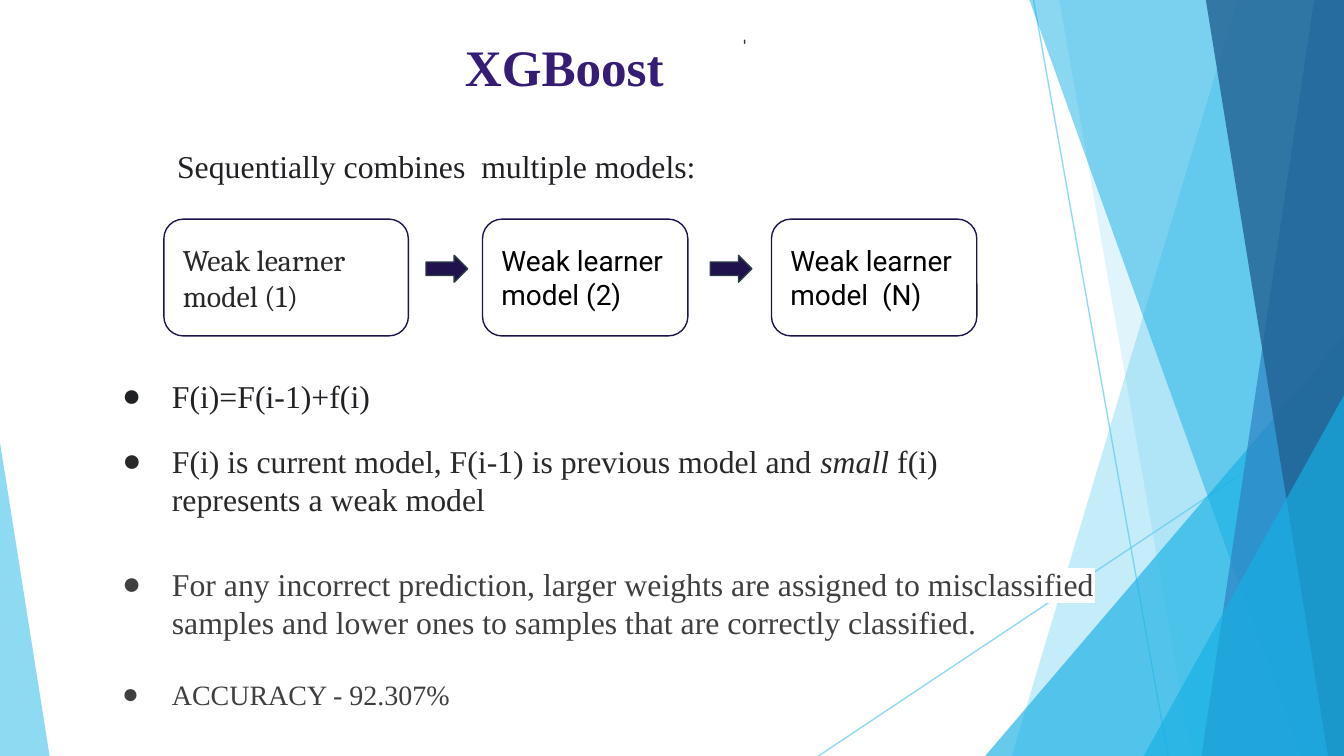
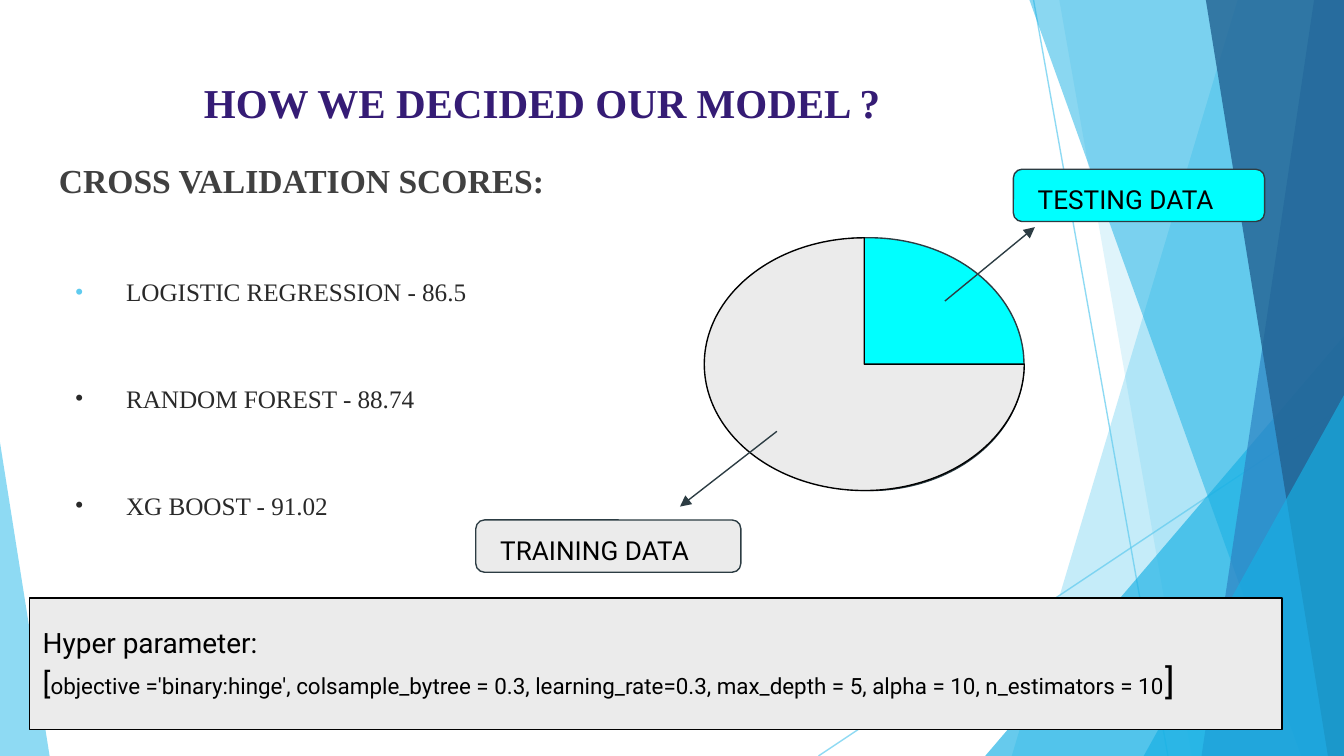
"""Build two slides on XGBoost and the choice of model."""
from dataclasses import dataclass

from lxml.etree import SubElement
from pptx import Presentation
from pptx.dml.color import RGBColor
from pptx.enum.shapes import MSO_CONNECTOR, MSO_SHAPE
from pptx.enum.text import MSO_ANCHOR, PP_ALIGN
from pptx.oxml.ns import qn
from pptx.util import Pt

COLORS = {
    "white": "FFFFFF", "black": "000000", "ink": "202124", "soft ink": "292929",
    "grey ink": "3F3F3F", "heading": "404040", "title": "351C75", "navy": "20124D",
    "slate": "2C3C43", "light grey": "EBEBEB", "cyan": "00FFFF", "sky": "5FCBEF",
    "azure": "17B0E4", "blue": "2E83C3", "deep blue": "226292",
}
SERIF, SANS, BOOK = "Times New Roman", "Roboto", "Cambria"
WIDTH, HEIGHT = 720, 405
INSET = 7.2
HAIRLINE = 0.75


@dataclass(frozen=True)
class Panel:
    top_x: float
    bottom_x: float
    color: str
    alpha: int


@dataclass(frozen=True)
class Wedge:
    left: float
    top: float
    width: float
    color: str
    alpha: int
    apex: float = 1


@dataclass(frozen=True)
class Learner:
    text: str
    left: float
    width: float
    font: str = SANS
    size: float = 15
    color: str = "black"


@dataclass(frozen=True)
class Callout:
    text: str
    left: float
    top: float
    width: float
    fill: str
    arrow: tuple[float, float, float, float]


RAYS = [(553.7, 0, 625.7, HEIGHT), (WIDTH, 217.4, 438.5, HEIGHT)]
DECOR = [
    Panel(663, 542, "sky", 36),
    Panel(567.5, 638.5, "sky", 20),
    Wedge(527.8, 180, 192.2, "azure", 66),
    Panel(551.5, 697, "azure", 50),
    Panel(704, 643.7, "blue", 70),
    Panel(646, 711.4, "deep blue", 80),
    Wedge(612.7, 211.7, 107.3, "azure", 66),
    Wedge(0, 236.9, 26.6, "sky", 70, apex=0),
]
LEARNERS = [
    Learner("Weak learner model (1)", 87.8, 131, BOOK, 16, "soft ink"),
    Learner("Weak learner model (2)", 258.5, 110),
    Learner("Weak learner model  (N)", 413.3, 110),
]
CALLOUTS = [
    Callout("TRAINING DATA", 254.9, 278.6, 142, "light grey", (416.2, 231.1, 364.3, 271.4)),
    Callout("TESTING DATA", 542.9, 90.7, 134.6, "cyan", (506.2, 161.3, 554.4, 121.7)),
]
SCORES = [
    ("LOGISTIC REGRESSION - 86.5", "sky"),
    ("RANDOM FOREST - 88.74", "soft ink"),
    ("XG BOOST - 91.02", "soft ink"),
]


def rgb(name: str) -> RGBColor:
    return RGBColor.from_string(COLORS[name])


def set_alpha(properties, percent: int) -> None:
    for color in properties.iter(qn("a:srgbClr")):
        SubElement(color, qn("a:alpha"), val=str(percent * 1000))


def paint(shape, fill: str, line: str | None = None, alpha: int = 100) -> None:
    shape.shadow.inherit = False
    shape.fill.solid()
    shape.fill.fore_color.rgb = rgb(fill)
    if alpha < 100:
        set_alpha(shape.fill._xPr, alpha)
    if line:
        shape.line.color.rgb = rgb(line)
        shape.line.width = Pt(HAIRLINE)
    else:
        shape.line.fill.background()


def add_block(slide, kind, left: float, top: float, width: float, height: float,
              fill: str, line: str | None = None, alpha: int = 100):
    block = slide.shapes.add_shape(kind, Pt(left), Pt(top), Pt(width), Pt(height))
    paint(block, fill, line, alpha)
    return block


def add_line(slide, ends: tuple[float, float, float, float], color: str,
             alpha: int = 100, arrow: bool = False) -> None:
    connector = slide.shapes.add_connector(MSO_CONNECTOR.STRAIGHT, *map(Pt, ends))
    connector.line.color.rgb = rgb(color)
    connector.line.width = Pt(HAIRLINE)
    properties = connector._element.spPr
    if alpha < 100:
        set_alpha(properties, alpha)
    if arrow:
        SubElement(properties.find(qn("a:ln")), qn("a:tailEnd"), type="triangle")
    SubElement(properties, qn("a:effectLst"))


def prepare(shape, anchor=MSO_ANCHOR.TOP, left: float = INSET,
            top: float = INSET, bottom: float = INSET):
    frame = shape.text_frame
    frame.word_wrap = True
    frame.vertical_anchor = anchor
    frame.margin_left, frame.margin_right = Pt(left), Pt(INSET)
    frame.margin_top, frame.margin_bottom = Pt(top), Pt(bottom)
    frame.paragraphs[0].alignment = PP_ALIGN.LEFT
    return frame


def add_text(slide, left: float, top: float, width: float, height: float,
             anchor=MSO_ANCHOR.TOP):
    box = slide.shapes.add_textbox(Pt(left), Pt(top), Pt(width), Pt(height))
    return prepare(box, anchor)


def next_paragraph(frame, before: float = 0):
    paragraph = frame.add_paragraph()
    paragraph.alignment = PP_ALIGN.LEFT
    paragraph.space_before = Pt(before)
    return paragraph


def write(paragraph, text: str, *, size: float, font: str = SERIF, color: str = "black",
          bold: bool = False, italic: bool = False, highlight: bool = False) -> None:
    run = paragraph.add_run()
    run.text = text
    run.font.size = Pt(size)
    run.font.bold, run.font.italic = bold, italic
    run.font.color.rgb = rgb(color)
    if highlight:
        mark = SubElement(run.font._element, qn("a:highlight"))
        SubElement(mark, qn("a:srgbClr"), val=COLORS["white"])
    run.font.name = font


def indent(paragraph, margin: float, hanging: float = 0):
    properties = paragraph._p.get_or_add_pPr()
    properties.set("marL", str(Pt(margin)))
    properties.set("indent", str(-Pt(hanging)))
    return properties


def add_bullet(paragraph, symbol: str, color: str, hanging: float):
    properties = indent(paragraph, 36, hanging)
    tint = SubElement(properties, qn("a:buClr"))
    SubElement(tint, qn("a:srgbClr"), val=COLORS[color])
    SubElement(properties, qn("a:buFont"), typeface=SERIF)
    SubElement(properties, qn("a:buChar"), char=symbol)
    return paragraph


def add_decor(slide) -> None:
    for ray in RAYS:
        add_line(slide, ray, "sky", alpha=70)
    for part in DECOR:
        if isinstance(part, Panel):
            outline = slide.shapes.build_freeform(Pt(part.top_x), 0)
            outline.add_line_segments([
                (Pt(WIDTH), 0), (Pt(WIDTH), Pt(HEIGHT)), (Pt(part.bottom_x), Pt(HEIGHT))])
            paint(outline.convert_to_shape(), part.color, alpha=part.alpha)
        else:
            wedge = add_block(slide, MSO_SHAPE.ISOSCELES_TRIANGLE, part.left, part.top,
                              part.width, HEIGHT - part.top, part.color, alpha=part.alpha)
            wedge.adjustments[0] = part.apex


def new_slide(deck):
    slide = deck.slides.add_slide(deck.slide_layouts[6])
    add_decor(slide)
    return slide


def build_xgboost(deck) -> None:
    slide = new_slide(deck)
    title = add_text(slide, 42.5, 12, 671, 45.4).paragraphs[0]
    indent(title, 199.5)
    write(title, "XGBoost", size=27.4, color="title", bold=True)

    for learner in LEARNERS:
        card = add_block(slide, MSO_SHAPE.ROUNDED_RECTANGLE, learner.left, 117.4,
                         learner.width, 62.6, "white", "navy")
        write(prepare(card, MSO_ANCHOR.MIDDLE).paragraphs[0], learner.text,
              size=learner.size, font=learner.font, color=learner.color)
    for arrow_left in (228.2, 380.5):
        add_block(slide, MSO_SHAPE.RIGHT_ARROW, arrow_left, 136.8, 22.3, 14.4, "navy", "slate")

    intro = add_text(slide, 87.8, 71.3, 331.2, 35.3).paragraphs[0]
    write(intro, "Sequentially combines  multiple models:", size=17, color="ink", highlight=True)

    formula = add_text(slide, 49, 194.4, 348.5, 35.3).paragraphs[0]
    add_bullet(formula, "●", "ink", 26.6)
    write(formula, "F(i)=F(i-1)+f(i)", size=17, color="ink", highlight=True)

    meaning = add_text(slide, 49, 229.7, 525, 55.4).paragraphs[0]
    add_bullet(meaning, "●", "soft ink", 26.6)
    for text, italic in (("F(i) is current model, F(i-1) is previous model and ", False),
                         ("small", True), (" f(i) represents a weak model", False)):
        write(meaning, text, size=17, color="soft ink", italic=italic, highlight=True)

    notes = add_text(slide, 49, 295.2, 584, 94.3)
    weights = add_bullet(notes.paragraphs[0], "●", "grey ink", 26.6)
    write(weights, "For any incorrect prediction, larger weights are assigned to misclassified "
          "samples and lower ones to samples that are correctly classified.",
          size=17, color="grey ink", highlight=True)
    accuracy = add_bullet(next_paragraph(notes, 19.5), "●", "grey ink", 26.6)
    write(accuracy, "ACCURACY - 92.307%", size=15, color="grey ink", highlight=True)

    add_block(slide, MSO_SHAPE.ROUNDED_RECTANGLE, 398.9, 21.6, 0.1, 1.5, "light grey", "slate")


def build_model_choice(deck) -> None:
    slide = new_slide(deck)
    title = add_text(slide, 102.2, 28.8, 554.4, 48.2, MSO_ANCHOR.MIDDLE).paragraphs[0]
    title.line_spacing = 1.15
    write(title, "HOW WE DECIDED OUR MODEL ?", size=22, color="title", bold=True)

    scores = add_text(slide, 24.5, 78.5, 671, 283)
    write(scores.paragraphs[0], "CROSS VALIDATION SCORES:", size=18, color="heading", bold=True)
    for score, bullet_color in SCORES:
        line = add_bullet(next_paragraph(scores, 41), "•", bullet_color, 27.4)
        write(line, score, size=13.5, color="soft ink")

    add_block(slide, MSO_SHAPE.OVAL, 383, 127.4, 165.6, 135.4, "cyan", "slate")
    add_block(slide, MSO_SHAPE.PIE, 377.3, 127.4, 171.4, 135.4, "light grey", "black")
    for callout in CALLOUTS:
        add_line(slide, callout.arrow, "slate", arrow=True)
        label = add_block(slide, MSO_SHAPE.ROUNDED_RECTANGLE, callout.left, callout.top,
                          callout.width, 28, callout.fill, "slate")
        frame = prepare(label, MSO_ANCHOR.MIDDLE, left=11.7, top=4, bottom=0)
        write(frame.paragraphs[0], callout.text, size=14, font=SANS)

    settings = add_block(slide, MSO_SHAPE.RECTANGLE, 15.8, 320.4, 671, 70.6,
                         "light grey", "black")
    frame = prepare(settings, MSO_ANCHOR.MIDDLE)
    write(frame.paragraphs[0], "Hyper parameter:", size=15, font=SANS)
    values = next_paragraph(frame)
    for text, size in (("[", 16),
                       ("objective ='binary:hinge', colsample_bytree = 0.3, learning_rate=0.3, "
                        "max_depth = 5, alpha = 10, n_estimators = 10", 12),
                       ("]", 19)):
        write(values, text, size=size, font=SANS)


def main() -> None:
    deck = Presentation()
    deck.slide_width, deck.slide_height = Pt(WIDTH), Pt(HEIGHT)
    build_xgboost(deck)
    build_model_choice(deck)
    deck.save("out.pptx")


if __name__ == "__main__":
    main()
